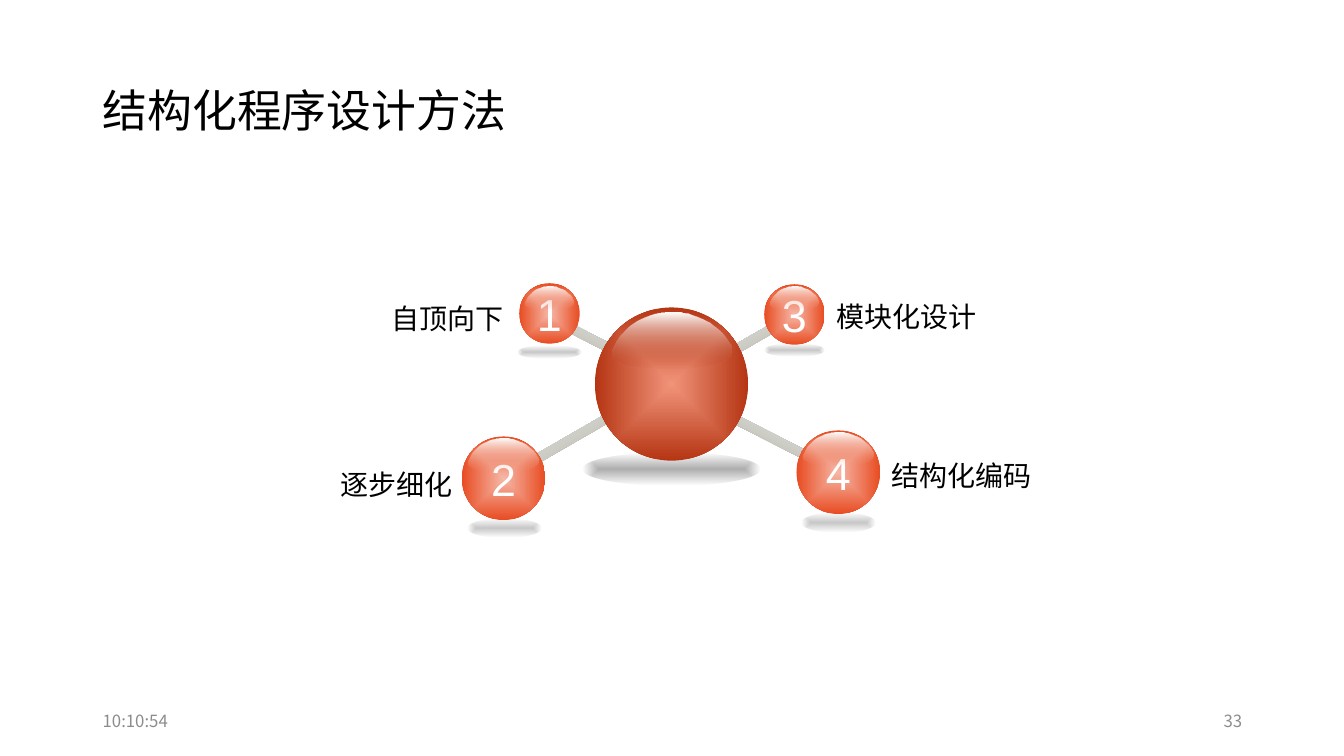
from lxml import etree
from pptx import Presentation
from pptx.dml.color import RGBColor
from pptx.enum.shapes import MSO_SHAPE
from pptx.enum.text import MSO_ANCHOR, PP_ALIGN
from pptx.oxml.ns import qn
from pptx.util import Pt

PX = 9144
OVAL = MSO_SHAPE.OVAL
ROUND = MSO_SHAPE.ROUNDED_RECTANGLE
MIDDLE = MSO_ANCHOR.MIDDLE
LEFT, CENTER, RIGHT = PP_ALIGN.LEFT, PP_ALIGN.CENTER, PP_ALIGN.RIGHT

BLACK = RGBColor(0x00, 0x00, 0x00)
WHITE = RGBColor(0xFF, 0xFF, 0xFF)
GRAY = RGBColor(0x8C, 0x8C, 0x8C)
STONE = RGBColor(0xAB, 0xAB, 0x9F)
PALE = RGBColor(0xEE, 0xEE, 0xEC)
PEACH = RGBColor(0xF6, 0xB7, 0xA7)
ORANGE = RGBColor(0xE8, 0x4C, 0x22)
CORAL = RGBColor(0xF1, 0x94, 0x7A)
RUST = RGBColor(0xB5, 0x35, 0x13)

HAN = "Noto Sans CJK SC"
LATIN = "Arial"

GLOSS_WIDE, GLOSS_HIGH = 118, 56
GLOSS = [
    (116, 31), (118, 34), (118, 37), (117, 40), (116, 43), (113, 45),
    (111, 47), (107, 49), (102, 51), (97, 52), (92, 53), (86, 54),
    (80, 55), (73, 56), (42, 56), (36, 55), (31, 55), (26, 54),
    (21, 54), (16, 53), (12, 52), (9, 50), (6, 49), (3, 47),
    (1, 45), (0, 43), (0, 38), (1, 35), (4, 29), (8, 23),
    (13, 18), (18, 13), (24, 9), (30, 6), (37, 3), (44, 1),
    (52, 0), (68, 0), (75, 1), (83, 4), (90, 7), (96, 10),
    (102, 15), (108, 20), (112, 25),
]

BARS = [
    (692, 338, 90, 330, False),
    (550, 336, 90, 27, True),
    (512, 430, 113, 330, False),
    (713, 427, 93, 27, True),
]
SHADES = [
    (578, 449, 176, 33, 32),
    (464, 515, 73, 18, 22),
    (758, 341, 60, 13, 22),
    (513, 343, 64, 13, 22),
    (795, 509, 73, 19, 22),
]
BALLS = [
    ("1", 515, 281, 60, 48, 3),
    ("2", 458, 433, 83, 70, 2),
    ("3", 758, 282, 60, 48, 2),
    ("4", 790, 427, 83, 70, 2),
]
LABELS = [
    ("自顶向下", 235, 245, 274, RIGHT),
    ("逐步细化", 235, 410, 224, RIGHT),
    ("模块化设计", 820, 243, 262, LEFT),
    ("结构化编码", 874, 401, 208, LEFT),
]


def paint(shape, stops, radial):
    shape.shadow.inherit = False
    shape.line.fill.background()
    shape.fill.gradient()
    grad = shape._element.spPr.find(qn("a:gradFill"))
    grad.clear()
    grad.set("rotWithShape", "1")
    group = etree.SubElement(grad, qn("a:gsLst"))
    for place, color, alpha in stops:
        stop = etree.SubElement(group, qn("a:gs"), pos=str(place * 1000))
        tint = etree.SubElement(stop, qn("a:srgbClr"), val=str(color))
        if alpha < 100:
            etree.SubElement(tint, qn("a:alpha"), val=str(alpha * 1000))
    if radial:
        route = etree.SubElement(grad, qn("a:path"), {"path": "shape"})
        focus = etree.SubElement(route, qn("a:fillToRect"))
        for side in "ltrb":
            focus.set(side, "50000")
    else:
        etree.SubElement(grad, qn("a:lin"), ang="5400000", scaled="0")


def add_form(slide, kind, left, top, width, height):
    return slide.shapes.add_shape(
        kind, left * PX, top * PX, width * PX, height * PX)


def write(frame, text, size, font, color, align, space=1.0):
    frame.vertical_anchor = MIDDLE
    frame.word_wrap = True
    para = frame.paragraphs[0]
    para.alignment = align
    para.line_spacing = space
    run = para.add_run()
    run.text = text
    run.font.size = Pt(size)
    run.font.name = font
    run.font.color.rgb = color
    latin = run._r.rPr.find(qn("a:latin"))
    latin.addnext(etree.Element(qn("a:ea"), typeface=font))


def add_text(slide, text, left, top, width, height, size, color, align,
             space=1.0):
    box = slide.shapes.add_textbox(
        left * PX, top * PX, width * PX, height * PX)
    write(box.text_frame, text, size, HAN, color, align, space)


def add_bar(slide, left, top, width, angle, mirror):
    bar = add_form(slide, ROUND, left, top, width, 9)
    bar.adjustments[0] = 0.45
    bar.rotation = angle
    frame = bar._element.spPr.find(qn("a:xfrm"))
    frame.set("flipV", "1")
    if mirror:
        frame.set("flipH", "1")
    paint(bar, [(0, STONE, 100), (100, PALE, 100)], False)


def add_shade(slide, left, top, width, height, alpha):
    shade = add_form(slide, OVAL, left, top, width, height)
    paint(shade, [(0, BLACK, alpha), (97, BLACK, 0)], True)


def add_gloss(slide, left, top, width, color):
    ratio = width / GLOSS_WIDE * PX
    outline = slide.shapes.build_freeform(*GLOSS[0], scale=ratio)
    outline.add_line_segments(GLOSS[1:], close=True)
    gloss = outline.convert_to_shape()
    gloss.left, gloss.top = round(left * PX), top * PX
    gloss.width, gloss.height = width * PX, round(GLOSS_HIGH * ratio)
    paint(gloss, [(0, WHITE, 100), (100, color, 0)], False)


def add_ball(slide, text, left, top, size, wide, drop, inner, outer, fade):
    ball = add_form(slide, OVAL, left, top, size, size)
    paint(ball, [(0, inner, 100), (100, outer, 100)], True)
    if text:
        frame = ball.text_frame
        frame.margin_left = frame.margin_right = 0
        frame.margin_top = frame.margin_bottom = 0
        write(frame, text, 32, LATIN, WHITE, CENTER)
    add_gloss(slide, left + (size - wide) / 2, top + drop, wide, fade)


def main():
    deck = Presentation()
    deck.slide_width, deck.slide_height = 1333 * PX, 750 * PX
    slide = deck.slides.add_slide(deck.slide_layouts[6])
    add_text(slide, "结构化程序设计方法", 92, 40, 1150, 145, 32, BLACK, LEFT, 0.9)
    for bar in BARS:
        add_bar(slide, *bar)
    for shade in SHADES:
        add_shade(slide, *shade)
    for ball in BALLS:
        add_ball(slide, *ball, PEACH, ORANGE, CORAL)
    add_ball(slide, "", 590, 305, 152, 118, 5, CORAL, RUST, RUST)
    for text, left, top, width, align in LABELS:
        add_text(slide, text, left, top, width, 131, 20, BLACK, align, 1.3)
    add_text(slide, "10:10:54", 92, 695, 300, 40, 12, GRAY, LEFT)
    add_text(slide, "33", 942, 695, 300, 40, 12, GRAY, RIGHT)
    deck.save("out.pptx")


if __name__ == "__main__":
    main()
